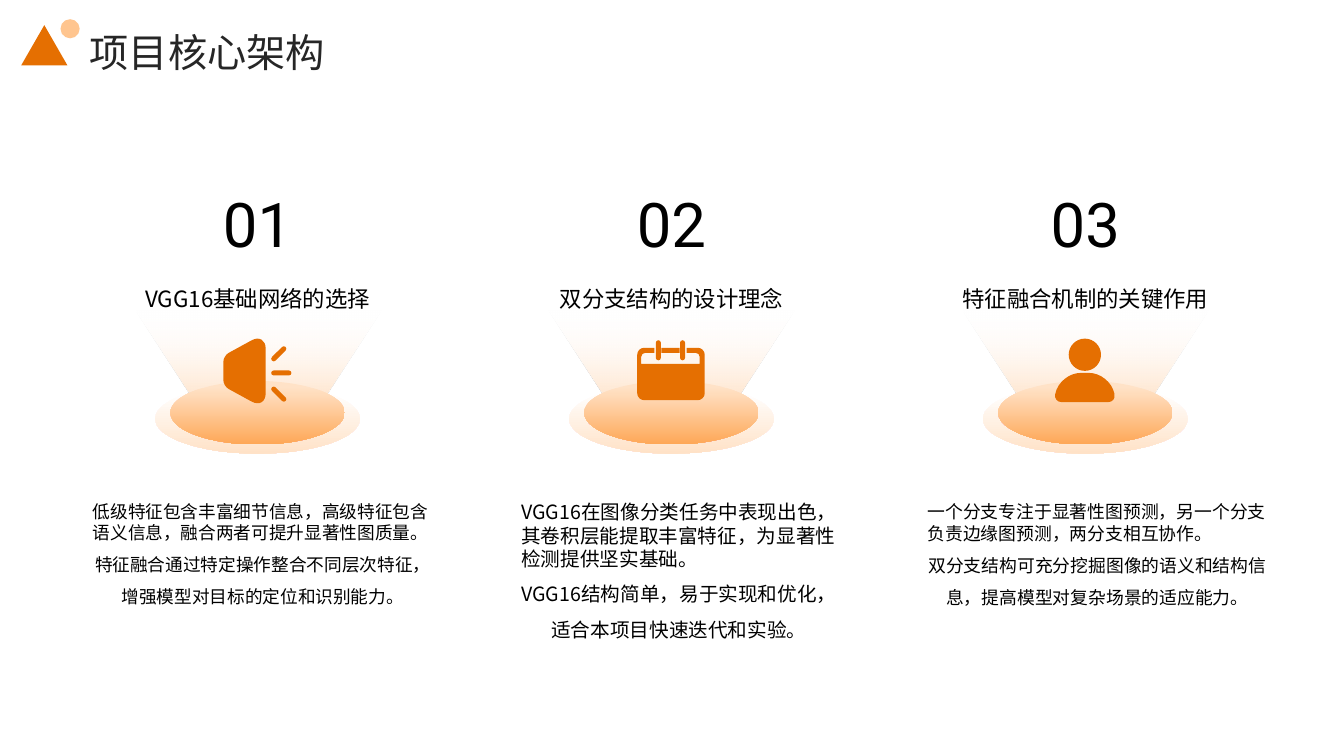
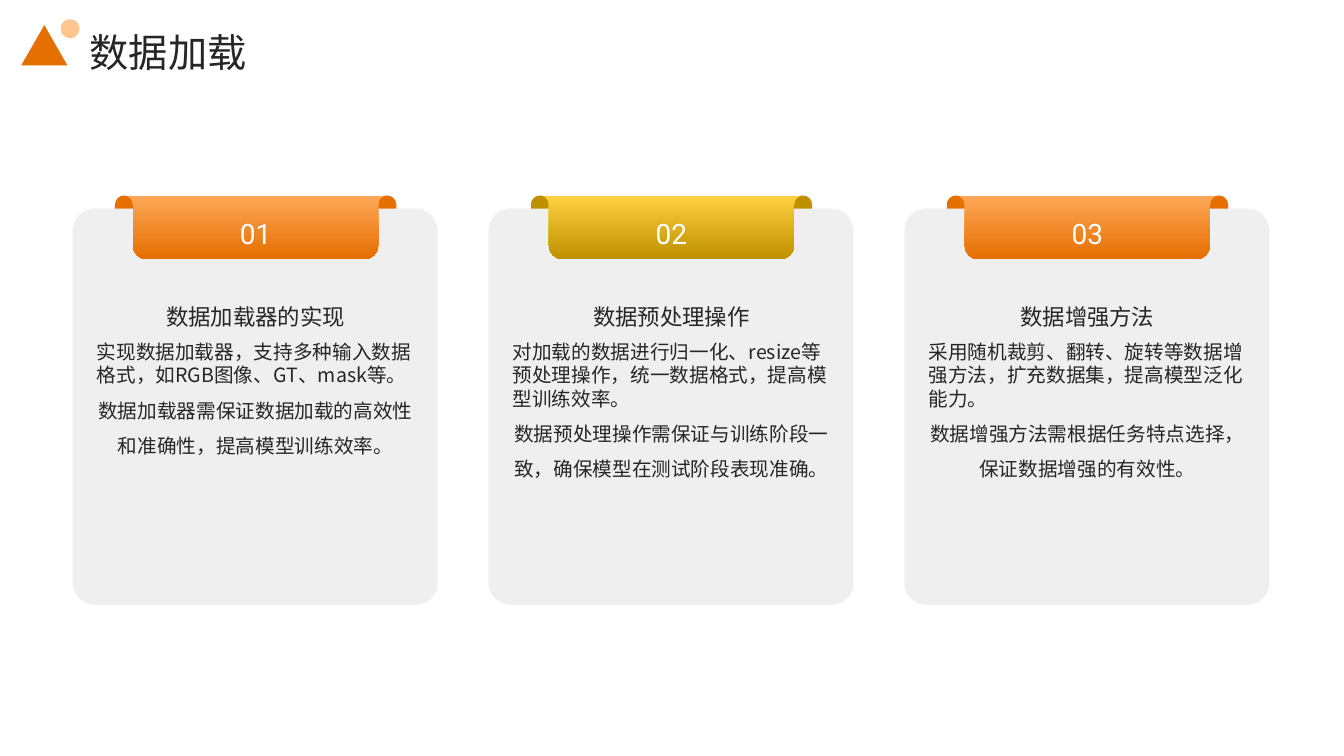
"""Build two three-column slides about a saliency detection project."""
from dataclasses import dataclass
from typing import NamedTuple, Optional, Union

import pptx
import pptx.dml.color
import pptx.enum.shapes
import pptx.enum.text
import pptx.oxml.ns
import pptx.presentation
import pptx.shapes.autoshape
import pptx.slide
import pptx.util

Inches = pptx.util.Inches
Pt = pptx.util.Pt
RGB = pptx.dml.color.RGBColor.from_string
MSO = pptx.enum.shapes.MSO_SHAPE
ALIGN = pptx.enum.text.PP_ALIGN
ANCHOR = pptx.enum.text.MSO_ANCHOR
qn = pptx.oxml.ns.qn


class Box(NamedTuple):
    x: float
    y: float
    w: float
    h: float

    def shift(self, dx: float) -> "Box":
        return self._replace(x=self.x + dx)

    def emu(self) -> list[int]:
        return [Inches(v) for v in self]


class Gradient(NamedTuple):
    top: str
    bottom: str
    start: float = 0


class Vertex(NamedTuple):
    x: float
    y: float
    r: float = 0


Fill = Union[str, Gradient]
Contour = list[Vertex]
PAGE = Box(0, 0, 13.33, 7.5)


@dataclass(frozen=True)
class Theme:
    cjk: str = "Noto Sans CJK SC"
    digits: str = "Roboto"
    ink: str = "262626"
    black: str = "000000"
    white: str = "FFFFFF"
    card: str = "D9D9D9"
    orange: str = "E56F01"
    amber: str = "FEA858"
    peach: str = "FFC58F"
    pale: str = "FFE2C7"
    gold: str = "BF9000"
    yellow: str = "FFD040"
    title_pt: float = 28
    heading_pt: float = 16
    body_pt: float = 14
    number_pt: float = 44
    ribbon_pt: float = 20


T = Theme()


@dataclass(frozen=True)
class Style:
    size: float
    color: str
    font: str = T.cjk
    spacing: float = 1.5
    align: ALIGN = ALIGN.CENTER
    hang: bool = True


@dataclass(frozen=True)
class Icon:
    width: float
    top: float
    contours: list[Contour]


@dataclass(frozen=True)
class Pillar:
    heading: str
    lead: str
    detail: str
    body: Box
    size: float
    icon: Icon


@dataclass(frozen=True)
class Card:
    heading: str
    lead: str
    detail: str
    dark: str
    light: str


def bar(x1: float, y1: float, x2: float, y2: float, half: float = 0.025) -> Contour:
    """Outline a round-ended stroke between two points."""
    a, b = complex(x1, y1), complex(x2, y2)
    along = (b - a) / abs(b - a) * half
    side = along * 1j
    corners = (a - along - side, b + along - side, b + along + side, a - along + side)
    return [Vertex(c.real, c.imag, half) for c in corners]


def rounded(contour: Contour) -> tuple[list[tuple[int, int]], list[bool]]:
    """Return the outline points and flags for the points that begin a cubic."""
    pts: list[complex] = []
    flags: list[bool] = []
    for i, v in enumerate(contour):
        c = complex(v.x, v.y)
        if not v.r:
            pts.append(c)
            flags.append(False)
            continue
        ends = [complex(n.x, n.y) for n in (contour[i - 1], contour[(i + 1) % len(contour)])]
        p, q = (c + (e - c) / abs(e - c) * v.r for e in ends)
        pts += [p, p + 0.55 * (c - p), q + 0.55 * (c - q), q]
        flags += [False, True, False, False]
    return [(Inches(z.real), Inches(z.imag)) for z in pts], flags


SPEAKER = Icon(0.67, 3.36, [
    [Vertex(0, 0.17, 0.06), Vertex(0.42, -0.06, 0.16), Vertex(0.42, 0.7, 0.16), Vertex(0, 0.47, 0.06)],
    bar(0.5, 0.2, 0.6, 0.1), bar(0.5, 0.34, 0.65, 0.34), bar(0.5, 0.5, 0.6, 0.6),
])
CALENDAR = Icon(0.67, 3.38, [
    [Vertex(0.17, 0.07), Vertex(0, 0.07, 0.07), Vertex(0, 0.59, 0.07), Vertex(0.67, 0.59, 0.07),
     Vertex(0.67, 0.07, 0.07), Vertex(0.49, 0.07), Vertex(0.49, 0.12), Vertex(0.62, 0.12, 0.04),
     Vertex(0.62, 0.23), Vertex(0.04, 0.23), Vertex(0.04, 0.12, 0.04), Vertex(0.17, 0.12)],
    [Vertex(0.24, 0.07), Vertex(0.42, 0.07), Vertex(0.42, 0.12), Vertex(0.24, 0.12)],
    bar(0.21, 0.02, 0.21, 0.17), bar(0.45, 0.02, 0.45, 0.17),
])
PERSON = Icon(0.58, 3.36, [
    [Vertex(0.13, 0, 0.16), Vertex(0.45, 0, 0.16), Vertex(0.45, 0.32, 0.16), Vertex(0.13, 0.32, 0.16)],
    [Vertex(-0.02, 0.63, 0.08), Vertex(0.04, 0.34, 0.21), Vertex(0.54, 0.34, 0.21), Vertex(0.6, 0.63, 0.08)],
])
EAR = [Vertex(0, 0.13), Vertex(0, 0, 0.09), Vertex(0.19, 0, 0.09), Vertex(0.19, 0.13)]
RIBBON = [Vertex(0, 0), Vertex(0.09, 0, 0.09), Vertex(0.09, 0.63, 0.13),
          Vertex(2.52, 0.63, 0.13), Vertex(2.52, 0, 0.09), Vertex(2.61, 0)]

PILLARS = [
    Pillar("VGG16基础网络的选择",
           "低级特征包含丰富细节信息，高级特征包含语义信息，融合两者可提升显著性图质量。",
           "特征融合通过特定操作整合不同层次特征，增强模型对目标的定位和识别能力。",
           Box(0.92, 4.97, 3.37, 1.59), 12.6, SPEAKER),
    Pillar("双分支结构的设计理念",
           "VGG16在图像分类任务中表现出色，其卷积层能提取丰富特征，为显著性检测提供坚实基础。",
           "VGG16结构简单，易于实现和优化，适合本项目快速迭代和实验。",
           Box(5.17, 4.96, 3.13, 1.59), T.body_pt, CALENDAR),
    Pillar("特征融合机制的关键作用",
           "一个分支专注于显著性图预测，另一个分支负责边缘图预测，两分支相互协作。",
           "双分支结构可充分挖掘图像的语义和结构信息，提高模型对复杂场景的适应能力。",
           Box(9.2, 4.97, 3.37, 1.6), 12.7, PERSON),
]
CARDS = [
    Card("数据加载器的实现",
         "实现数据加载器，支持多种输入数据格式，如RGB图像、GT、mask等。",
         "数据加载器需保证数据加载的高效性和准确性，提高模型训练效率。", T.orange, T.amber),
    Card("数据预处理操作",
         "对加载的数据进行归一化、resize等预处理操作，统一数据格式，提高模型训练效率。",
         "数据预处理操作需保证与训练阶段一致，确保模型在测试阶段表现准确。", T.gold, T.yellow),
    Card("数据增强方法",
         "采用随机裁剪、翻转、旋转等数据增强方法，扩充数据集，提高模型泛化能力。",
         "数据增强方法需根据任务特点选择，保证数据增强的有效性。", T.orange, T.amber),
]


def paint(sp: pptx.shapes.autoshape.Shape, fill: Fill, alpha: Optional[int] = None) -> None:
    """Fill a shape without outline; alpha, in percent, applies to its last colour."""
    sp.shadow.inherit = False
    sp.line.fill.background()
    if isinstance(fill, Gradient):
        sp.fill.gradient()
        sp.fill.gradient_angle = 270
        for stop, color, pos in zip(sp.fill.gradient_stops, fill[:2], (fill.start, 1)):
            stop.color.rgb = RGB(color)
            stop.position = pos
    else:
        sp.fill.solid()
        sp.fill.fore_color.rgb = RGB(fill)
    if alpha is not None:
        color = list(sp._element.spPr.iter(qn("a:srgbClr")))[-1]
        color.append(color.makeelement(qn("a:alpha"), {"val": str(alpha * 1000)}))


def add_preset(s: pptx.slide.Slide, kind: MSO, box: Box, fill: Fill,
               alpha: Optional[int] = None) -> pptx.shapes.autoshape.Shape:
    """Add a painted preset shape."""
    sp = s.shapes.add_shape(kind, *box.emu())
    paint(sp, fill, alpha)
    return sp


def add_outline(s: pptx.slide.Slide, x: float, y: float, contours: list[Contour], fill: Fill) -> None:
    """Add a freeform made of contours with curved corners."""
    outlines = [rounded(c) for c in contours]
    fb = s.shapes.build_freeform(*outlines[0][0][0], scale=1.0)
    for i, (pts, _) in enumerate(outlines):
        if i:
            fb.move_to(*pts[0])
        fb.add_line_segments(pts[1:], close=True)
    sp = fb.convert_to_shape(Inches(x), Inches(y))
    track = next(sp._element.iter(qn("a:path")))
    nodes = [n for n in track if n.tag != qn("a:close")]
    flags = [f for _, marks in outlines for f in marks]
    for i in (k for k, f in enumerate(flags) if f):
        curve = track.makeelement(qn("a:cubicBezTo"), {})
        nodes[i].addprevious(curve)
        for n in nodes[i:i + 3]:
            curve.append(n[0])
            track.remove(n)
    paint(sp, fill)


def write(sp: pptx.shapes.autoshape.Shape, lines: list[tuple[str, Style]], anchor: ANCHOR) -> None:
    """Write one styled paragraph per line into a shape without insets."""
    tf = sp.text_frame
    frame = {"word_wrap": True, "auto_size": pptx.enum.text.MSO_AUTO_SIZE.NONE, "vertical_anchor": anchor,
             "margin_left": 0, "margin_top": 0, "margin_right": 0, "margin_bottom": 0}
    for key, value in frame.items():
        setattr(tf, key, value)
    for i, (text, st) in enumerate(lines):
        p = tf.add_paragraph() if i else tf.paragraphs[0]
        for key, value in {"alignment": st.align, "line_spacing": st.spacing}.items():
            setattr(p, key, value)
        p._p.get_or_add_pPr().set("hangingPunct", str(int(st.hang)))
        r = p.add_run()
        r.text = text
        for key, value in {"size": Pt(st.size), "name": st.font, "bold": False}.items():
            setattr(r.font, key, value)
        r.font.color.rgb = RGB(st.color)
        rpr = r._r.get_or_add_rPr()
        rpr.append(rpr.makeelement(qn("a:ea"), {"typeface": st.font}))


def add_text(s: pptx.slide.Slide, box: Box, lines: list[tuple[str, Style]], anchor: ANCHOR) -> None:
    """Add a text box."""
    write(s.shapes.add_textbox(*box.emu()), lines, anchor)


def add_body(s: pptx.slide.Slide, box: Box, lead: str, detail: str, size: float, color: str) -> None:
    """Add a tight left-aligned lead above a centred detail."""
    lead_style = Style(size, color, spacing=1.0, align=ALIGN.LEFT, hang=False)
    add_text(s, box, [(lead, lead_style), (detail, Style(size, color))], ANCHOR.TOP)


def add_slide(prs: pptx.presentation.Presentation, title: str) -> pptx.slide.Slide:
    """Add a titled slide with a white backdrop and the corner emblem."""
    s = prs.slides.add_slide(prs.slide_layouts[5])
    sp = s.shapes.title
    sp._element.addprevious(add_preset(s, MSO.RECTANGLE, PAGE, T.white)._element)
    for key, value in zip(("left", "top", "width", "height"), Box(0.89, 0.15, 11.35, 0.59).emu()):
        setattr(sp, key, value)
    write(sp, [(title, Style(T.title_pt, T.ink, spacing=1.3, align=ALIGN.LEFT))], ANCHOR.MIDDLE)
    add_preset(s, MSO.ISOSCELES_TRIANGLE, Box(0.21, 0.25, 0.46, 0.4), T.orange)
    add_preset(s, MSO.OVAL, Box(0.6, 0.19, 0.19, 0.19), T.peach)
    return s


def draw_pillar(s: pptx.slide.Slide, i: int, pillar: Pillar) -> None:
    """Draw a numbered column with an icon on a glowing stand."""
    dx = 8.21 * i / 2
    add_preset(s, MSO.OVAL, Box(1.54, 3.81, 2.03, 0.69).shift(dx), Gradient(T.white, T.pale, 0.1))
    beam = add_preset(s, MSO.TRAPEZOID, Box(1.34, 3.08, 2.44, 1.02).shift(dx), Gradient(T.pale, T.white, 0.1), 0)
    beam.adjustments[0] = 0.655
    beam._element.spPr.xfrm.set("flipV", "1")
    add_preset(s, MSO.OVAL, Box(1.69, 3.78, 1.73, 0.63).shift(dx), Gradient(T.pale, T.amber, 0.1))
    add_outline(s, 2.55 + dx - pillar.icon.width / 2, pillar.icon.top, pillar.icon.contours, T.orange)
    add_text(s, Box(1.06, 2.54, 2.99, 0.72).shift(dx),
             [(pillar.heading, Style(T.heading_pt, T.black))], ANCHOR.MIDDLE)
    add_text(s, Box(1.14, 1.24, 2.83, 1.34).shift(dx),
             [(f"{i + 1:02}", Style(T.number_pt, T.black, T.digits, 1.1))], ANCHOR.BOTTOM)
    add_body(s, pillar.body, pillar.lead, pillar.detail, pillar.size, T.black)


def draw_card(s: pptx.slide.Slide, i: int, card: Card) -> None:
    """Draw a grey card under a numbered ribbon."""
    dx = 8.25 * i / 2
    add_preset(s, MSO.ROUNDED_RECTANGLE, Box(0.72, 2.07, 3.62, 3.93).shift(dx), T.card, 40).adjustments[0] = 0.06
    for x in (1.14, 3.74):
        add_outline(s, x + dx, 1.94, [EAR], card.dark)
    add_outline(s, 1.23 + dx, 1.94, [RIBBON], Gradient(card.light, card.dark))
    add_text(s, Box(0.96, 2.59, 3.15, 0.68).shift(dx),
             [(card.heading, Style(T.heading_pt, T.ink, spacing=1.3))], ANCHOR.BOTTOM)
    add_body(s, Box(0.96, 3.37, 3.15, 2.17).shift(dx), card.lead, card.detail, T.body_pt, T.ink)
    add_text(s, Box(0.96, 2.08, 3.15, 0.4).shift(dx),
             [(f"{i + 1:02}", Style(T.ribbon_pt, T.white, T.digits, 1.3))], ANCHOR.BOTTOM)


def main() -> None:
    """Build and save the deck."""
    prs = pptx.Presentation()
    for key, value in {"slide_width": Inches(PAGE.w), "slide_height": Inches(PAGE.h)}.items():
        setattr(prs, key, value)
    for title, draw, items in (("项目核心架构", draw_pillar, PILLARS), ("数据加载", draw_card, CARDS)):
        s = add_slide(prs, title)
        for i, item in enumerate(items):
            draw(s, i, item)
    prs.save("out.pptx")


if __name__ == "__main__":
    main()
